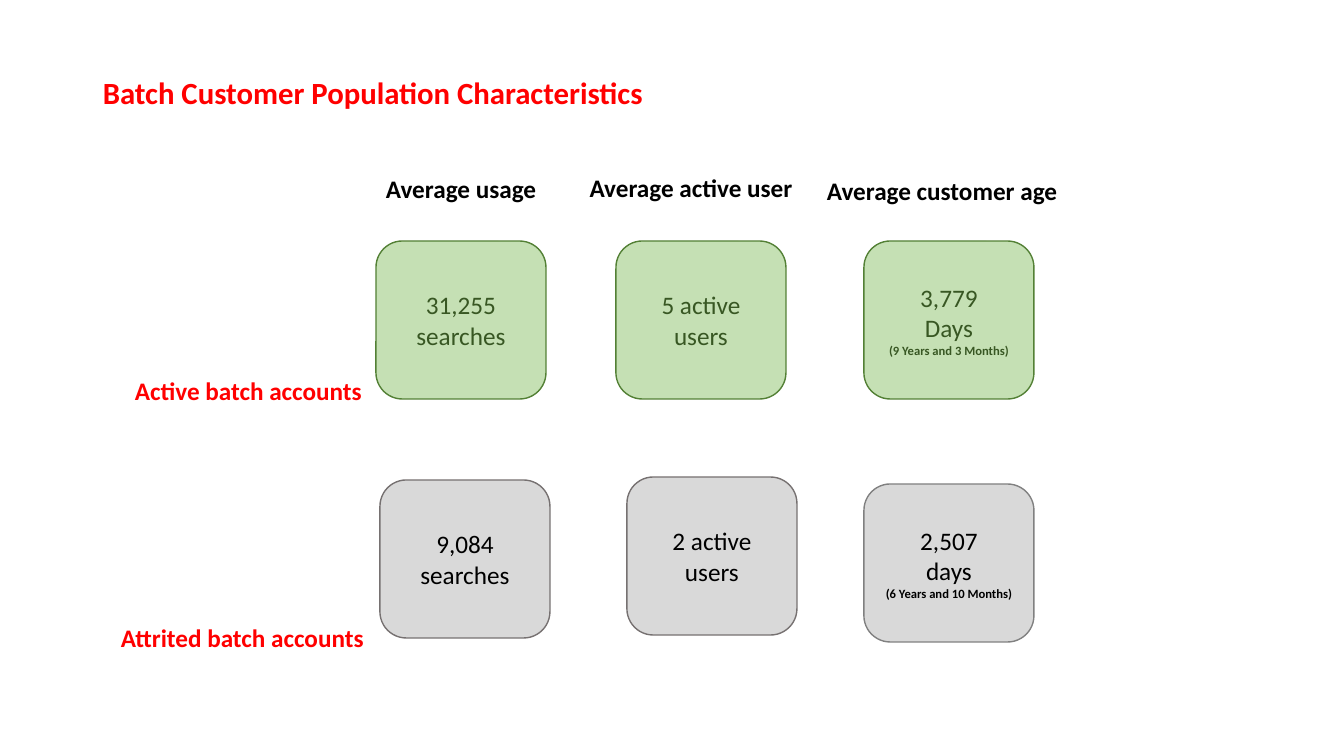
from pptx import Presentation
from pptx.dml.color import RGBColor
from pptx.enum.shapes import MSO_SHAPE as Shape
from pptx.enum.text import MSO_ANCHOR as Anchor, MSO_AUTO_SIZE as Fit, PP_ALIGN as Align
from pptx.util import Pt

SCALE = 914400 / 100.8
RED, BLACK = "FF0000", "000000"


def px(n):
    return round(n * SCALE)


def rgb(code):
    return RGBColor.from_string(code)


def write(frame, text, size=18, color=BLACK, bold=False, align=Align.LEFT,
          anchor=Anchor.TOP, note=None, space=1.0):
    """Fill a frame, one paragraph a line, with an optional small bold last line."""
    frame.word_wrap = True
    frame.vertical_anchor = anchor
    rows = [(line, size, bold) for line in text.split("\n")]
    if note:
        rows.append((note, 9, True))
    for i, (line, pts, heavy) in enumerate(rows):
        para = frame.add_paragraph() if i else frame.paragraphs[0]
        para.alignment = align
        para.line_spacing = space
        run = para.add_run()
        run.text = line
        font = run.font
        font.name, font.size, font.bold = Board.FONT, Pt(pts), heavy
        font.color.rgb = rgb(color)


class Board:
    FONT = "Calibri"
    CARD = (170, 158)

    def __init__(self, slide):
        self.shapes = slide.shapes

    def title(self, text):
        box = self.shapes.add_textbox(px(93), px(40), px(1159), px(109))
        write(box.text_frame, text, size=22, color=RED, bold=True,
              anchor=Anchor.MIDDLE, space=0.9)

    def label(self, text, x, y, width, **style):
        box = self.shapes.add_textbox(px(x), px(y), px(width), px(40))
        write(box.text_frame, text, bold=True, **style)
        box.text_frame.auto_size = Fit.SHAPE_TO_FIT_TEXT

    def card(self, text, x, y, fill, line, color, note=None):
        card = self.shapes.add_shape(Shape.ROUNDED_RECTANGLE, px(x), px(y),
                                     *map(px, self.CARD))
        card.shadow.inherit = False
        card.fill.solid()
        card.fill.fore_color.rgb = rgb(fill)
        card.line.color.rgb = rgb(line)
        card.line.width = Pt(1)
        write(card.text_frame, text, color=color, align=Align.CENTER,
              anchor=Anchor.MIDDLE, note=note)


def main():
    deck = Presentation()
    deck.slide_width, deck.slide_height = px(1344), px(756)
    board = Board(deck.slides.add_slide(deck.slide_layouts[6]))

    board.title("Batch Customer Population Characteristics")
    board.label("Active batch accounts", 125, 370, 260, color=RED)
    board.label("Attrited batch accounts", 111, 617, 274, color=RED)
    board.label("Average usage", 376, 168, 174)
    board.label("Average active user", 573, 167, 236, align=Align.CENTER)
    board.label("Average customer age", 817, 170, 262)

    active = dict(fill="C5E0B4", line="538035", color="385723")
    lost = dict(fill="D9D9D9", line="767171", color=BLACK)
    cards = [
        ("31,255 searches", 376, 241, active, None),
        ("5 active users", 616, 241, active, None),
        ("3,779\nDays", 864, 241, active, "(9 Years and 3 Months)"),
        ("9,084 searches", 380, 480, lost, None),
        ("2 active users", 627, 477, lost, None),
        ("2,507\ndays", 864, 484, lost | {"line": "808080"}, "(6 Years and 10 Months)"),
    ]
    for text, x, y, style, note in cards:
        board.card(text, x, y, note=note, **style)

    deck.save("out.pptx")


if __name__ == "__main__":
    main()
